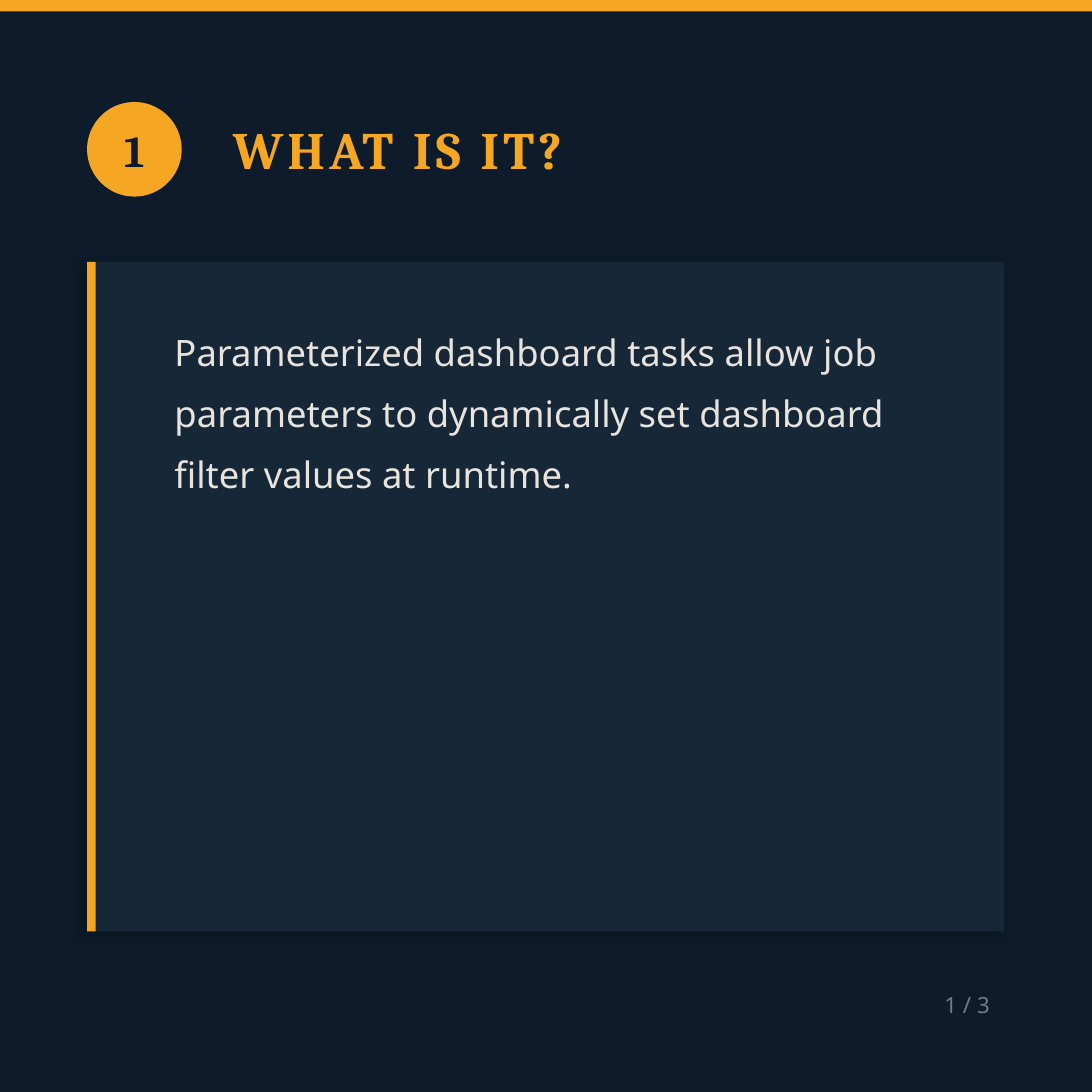
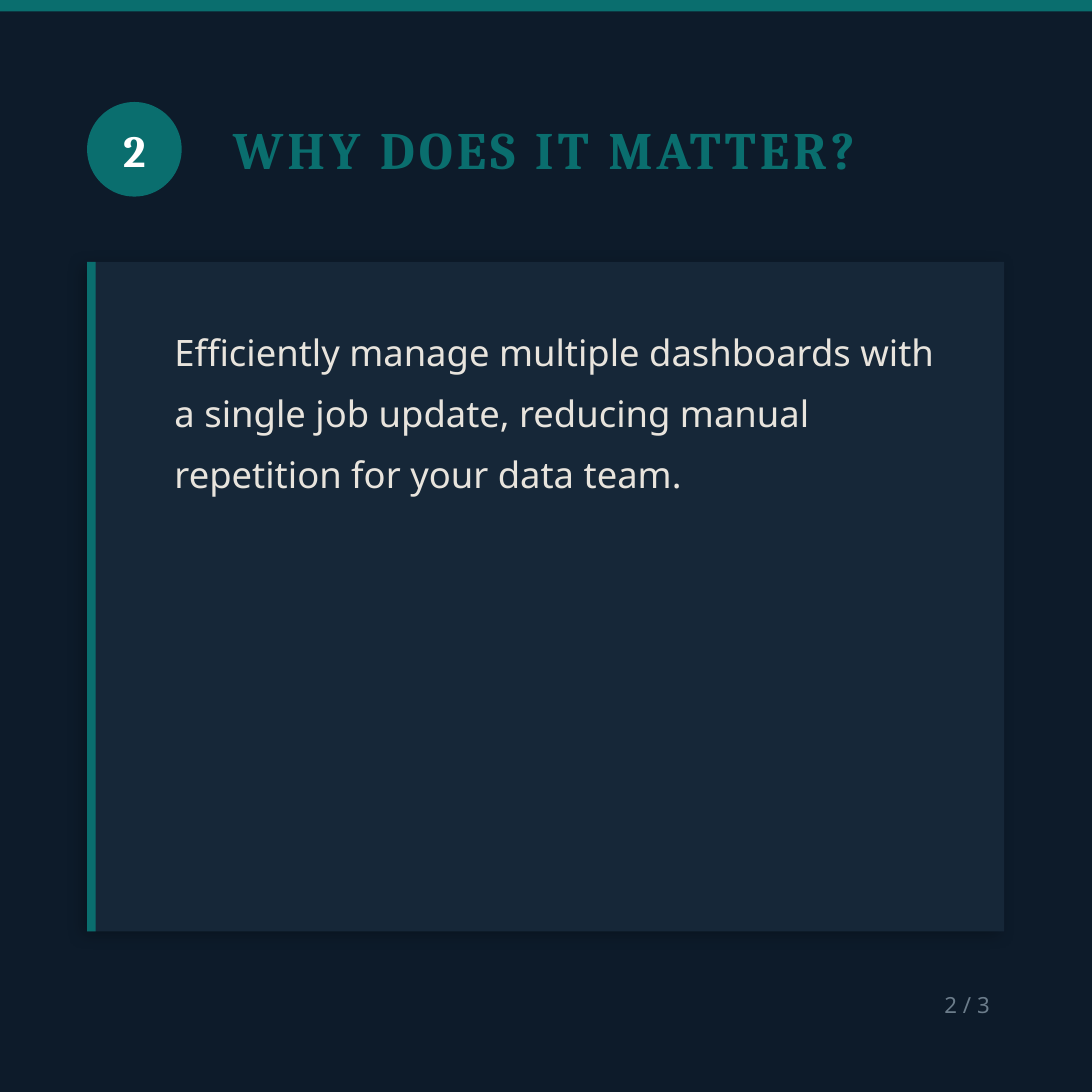
import lxml.etree
import pptx
import pptx.dml.color
import pptx.enum.shapes
import pptx.enum.text
import pptx.oxml
import pptx.oxml.ns
import pptx.util

Cm = pptx.util.Cm
Pt = pptx.util.Pt
qn = pptx.oxml.ns.qn
FORMS = pptx.enum.shapes.MSO_SHAPE
ALIGN = pptx.enum.text.PP_ALIGN
ANCHOR = pptx.enum.text.MSO_ANCHOR

NAVY, PANEL, CREAM, GREY = "0D1B2A", "162738", "E8E4DD", "6B7C8A"
AMBER, TEAL, WHITE = "F5A623", "0A6E6E", "FFFFFF"
SERIF, SANS = "Cambria", "Noto Sans"
SIDE, EDGE, WIDE = 19.05, 1.52, 16
TOTAL = 3

SHADOW = (
    '<a:effectLst xmlns:a="http://schemas.openxmlformats.org/drawingml/2006/main">'
    '<a:outerShdw blurRad="101600" dist="38100" dir="8100000" algn="bl" rotWithShape="0">'
    '<a:srgbClr val="000000"><a:alpha val="25000"/></a:srgbClr>'
    "</a:outerShdw></a:effectLst>"
)

PAGES = [
    ("WHAT IS IT?", AMBER, NAVY,
     "Parameterized dashboard tasks allow job parameters to dynamically "
     "set dashboard filter values at runtime."),
    ("WHY DOES IT MATTER?", TEAL, WHITE,
     "Efficiently manage multiple dashboards with a single job update, "
     "reducing manual repetition for your data team."),
]


def color(code):
    return pptx.dml.color.RGBColor.from_string(code)


def assign(target, values):
    for name, value in values.items():
        setattr(target, name, value)


class Deck:
    """Holds the shared style and the slide being drawn."""

    def __init__(self):
        self.show = pptx.Presentation()
        assign(self.show, {"slide_width": Cm(SIDE), "slide_height": Cm(SIDE)})
        fill = self.show.slide_master.background.fill
        fill.solid()
        fill.fore_color.rgb = color(NAVY)

    def start(self, accent):
        self.slide = self.show.slides.add_slide(self.show.slide_layouts[1])
        self.accent = accent
        self.block(0, 0, SIDE, 0.2, accent)

    def block(self, x, y, width, height, fill, form=FORMS.RECTANGLE):
        shape = self.slide.shapes.add_shape(form, Cm(x), Cm(y), Cm(width), Cm(height))
        shape.shadow.inherit = False
        shape.fill.solid()
        shape.fill.fore_color.rgb = color(fill)
        shape.line.fill.background()
        return shape

    def place(self, shape, x, y, width, height):
        """Moves a placeholder and brings it to the front."""
        assign(shape, {"left": Cm(x), "top": Cm(y),
                       "width": Cm(width), "height": Cm(height)})
        shape.element.getparent().append(shape.element)

    def label(self, shape, text, hue, font, frame=None, para=None):
        box = shape.text_frame
        box.text = text
        assign(box, {"word_wrap": True, "vertical_anchor": ANCHOR.MIDDLE,
                     "auto_size": pptx.enum.text.MSO_AUTO_SIZE.NONE, **(frame or {})})
        line = box.paragraphs[0]
        assign(line, {"alignment": ALIGN.LEFT, **(para or {})})
        assign(line.runs[0].font, font)
        line.runs[0].font.color.rgb = color(hue)

    def badge(self, number, hue):
        disc = self.block(EDGE, 1.78, 1.65, 1.65, self.accent, FORMS.OVAL)
        sides = ("left", "right", "top", "bottom")
        self.label(disc, str(number), hue,
                   {"name": SERIF, "size": Pt(22), "bold": True},
                   {f"margin_{side}": 0 for side in sides},
                   {"alignment": ALIGN.CENTER})

    def title(self, text):
        shape = self.slide.shapes.title
        self.place(shape, 3.81, 1.83, 13.72, 1.52)
        self.label(shape, text, self.accent,
                   {"name": SERIF, "size": Pt(26), "bold": True})
        for style in shape.element.iter(qn("a:rPr")):
            style.set("spc", "200")

    def card(self, text):
        top, height = 4.57, 11.68
        panel = self.block(EDGE, top, WIDE, height, PANEL)
        props = panel.element.spPr
        props.replace(props.find(qn("a:effectLst")), pptx.oxml.parse_xml(SHADOW))
        self.block(EDGE, top, 0.15, height, self.accent)
        body = self.slide.placeholders[1]
        self.place(body, 2.79, 5.33, 13.97, 10.16)
        self.label(body, text, CREAM, {"name": SANS, "size": Pt(18)},
                   {"vertical_anchor": ANCHOR.TOP},
                   {"line_spacing": 1.4, "space_before": Pt(0)})
        for style in body.element.iter(qn("a:pPr")):
            style.set("marL", "0")
            style.set("indent", "0")
            lxml.etree.SubElement(style, qn("a:buNone"))

    def footer(self, number):
        box = self.slide.shapes.add_textbox(Cm(EDGE), Cm(17.02), Cm(WIDE), Cm(1.02))
        self.label(box, f"{number} / {TOTAL}", GREY,
                   {"name": SANS, "size": Pt(11)}, para={"alignment": ALIGN.RIGHT})


def main():
    deck = Deck()
    for number, (title, accent, hue, text) in enumerate(PAGES, 1):
        deck.start(accent)
        deck.badge(number, hue)
        deck.title(title)
        deck.card(text)
        deck.footer(number)
    deck.show.save("out.pptx")


if __name__ == "__main__":
    main()
